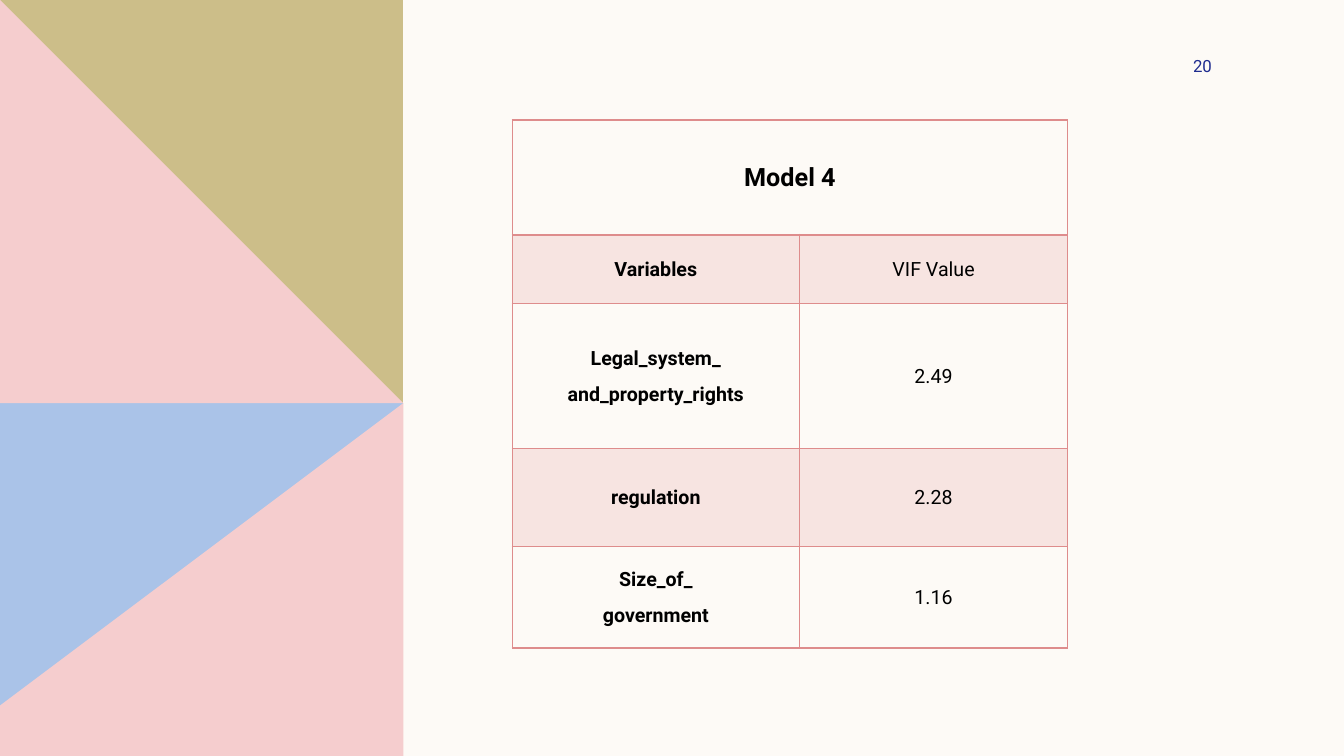
from lxml.etree import SubElement
from pptx import Presentation
from pptx.dml.color import RGBColor
from pptx.enum.text import MSO_ANCHOR, PP_ALIGN
from pptx.oxml.ns import qn
from pptx.util import Inches, Pt

FONT = "Roboto"
BACKGROUND, ROSE, BLUE, OLIVE = "FDFAF6", "F5CDCE", "AAC3E8", "CCBE89"
BORDER, BAND, BLACK, NAVY = "DE8C8C", "F7E4E1", "000000", "1F2C8F"
COLUMN_WIDTHS = [2.85, 2.66]
ROW_HEIGHTS = [1.14, 0.68, 1.44, 0.97, 1.01]
VIF_ROWS = [
    ("Variables", "VIF Value"),
    ("Legal_system_\nand_property_rights", "2.49"),
    ("regulation", "2.28"),
    ("Size_of_\ngovernment", "1.16"),
]
PANELS = [
    (BLUE, [(0, 3.75), (3.75, 3.75), (3.75, 7.5), (0, 7.5)]),
    (ROSE, [(3.75, 3.75), (3.75, 7.5), (0, 7.5), (0, 7.49)]),
    (OLIVE, [(0, 0), (3.74, 0), (3.74, 3.76), (0, 3.76)]),
    (ROSE, [(0, 0), (3.74, 3.76), (0, 3.76)]),
]


def color(value):
    """Turn a hex string into a colour."""
    return RGBColor.from_string(value)


def style_run(run, size, value, bold=False):
    """Set the font of one run."""
    run.font.name = FONT
    run.font.size = Pt(size)
    run.font.bold = bold
    run.font.color.rgb = color(value)


def add_panel(slide, fill, points):
    """Add a filled polygon with corners given in inches."""
    builder = slide.shapes.build_freeform(*points[0], scale=Inches(1))
    builder.add_line_segments(points[1:], close=True)
    shape = builder.convert_to_shape()
    shape.shadow.inherit = False
    shape.fill.solid()
    shape.fill.fore_color.rgb = color(fill)
    shape.line.fill.background()


def add_page_number(slide, number):
    """Add the right-aligned page number."""
    box = slide.shapes.add_textbox(Inches(10.94), Inches(0.52), Inches(1.08), Inches(0.27))
    frame = box.text_frame
    frame.word_wrap = True
    frame.vertical_anchor = MSO_ANCHOR.MIDDLE
    frame.margin_right = 0
    frame.text = number
    paragraph = frame.paragraphs[0]
    paragraph.alignment = PP_ALIGN.RIGHT
    style_run(paragraph.runs[0], 12, NAVY)


def set_borders(cell, top=1, bottom=1):
    """Draw the four cell borders with widths in points."""
    properties = cell._tc.get_or_add_tcPr()
    for side, width in (("L", 1), ("R", 1), ("T", top), ("B", bottom)):
        line = SubElement(properties, qn(f"a:ln{side}"), w=str(Pt(width)))
        fill = SubElement(line, qn("a:solidFill"))
        SubElement(fill, qn("a:srgbClr"), val=BORDER)


def set_text(cell, text, size, bold):
    """Write centred text into a cell."""
    cell.text_frame.text = text
    cell.vertical_anchor = MSO_ANCHOR.MIDDLE
    cell.margin_left = cell.margin_right = Inches(0.07)
    cell.margin_top = cell.margin_bottom = 0
    for paragraph in cell.text_frame.paragraphs:
        paragraph.alignment = PP_ALIGN.CENTER
        paragraph.line_spacing = 1.07
        paragraph.space_after = Pt(8)
        style_run(paragraph.runs[0], size, BLACK, bold)


def set_fill(cell, banded):
    """Tint a banded cell and clear any other."""
    if banded:
        cell.fill.solid()
        cell.fill.fore_color.rgb = color(BAND)
    else:
        cell.fill.background()


def add_vif_table(slide):
    """Add the table of VIF values under its merged title row."""
    frame = slide.shapes.add_table(
        len(ROW_HEIGHTS), len(COLUMN_WIDTHS), Inches(5.08), Inches(1.19),
        Inches(sum(COLUMN_WIDTHS)), Inches(sum(ROW_HEIGHTS)))
    table = frame.table
    table.first_row = table.horz_banding = False
    for column, width in zip(table.columns, COLUMN_WIDTHS):
        column.width = Inches(width)
    for row, height in zip(table.rows, ROW_HEIGHTS):
        row.height = Inches(height)

    title = table.cell(0, 0)
    title.merge(table.cell(0, 1))
    set_text(title, "Model 4", 18, True)
    for cell in table.rows[0].cells:
        set_borders(cell, bottom=2)
        set_fill(cell, False)

    for row_index, values in enumerate(VIF_ROWS, start=1):
        for column_index, value in enumerate(values):
            cell = table.cell(row_index, column_index)
            set_text(cell, value, 14, column_index == 0)
            set_borders(cell, top=2 if row_index == 1 else 1)
            set_fill(cell, row_index % 2 == 1)


def main():
    """Build and save the slide."""
    presentation = Presentation()
    presentation.slide_width = Inches(13.33)
    presentation.slide_height = Inches(7.5)
    slide = presentation.slides.add_slide(presentation.slide_layouts[6])
    slide.background.fill.solid()
    slide.background.fill.fore_color.rgb = color(BACKGROUND)
    for fill, points in PANELS:
        add_panel(slide, fill, points)
    add_page_number(slide, "20")
    add_vif_table(slide)
    presentation.save("out.pptx")


if __name__ == "__main__":
    main()
